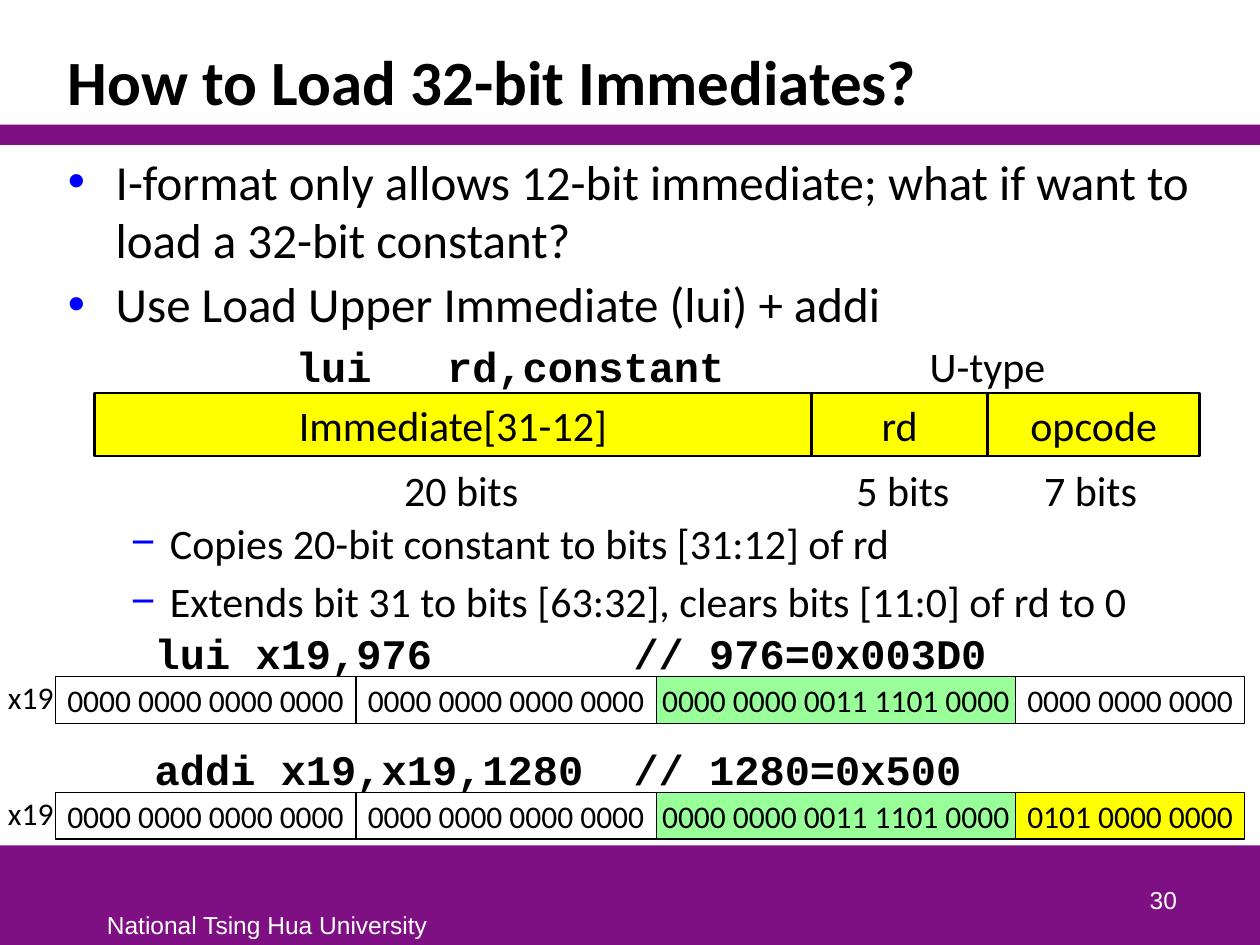
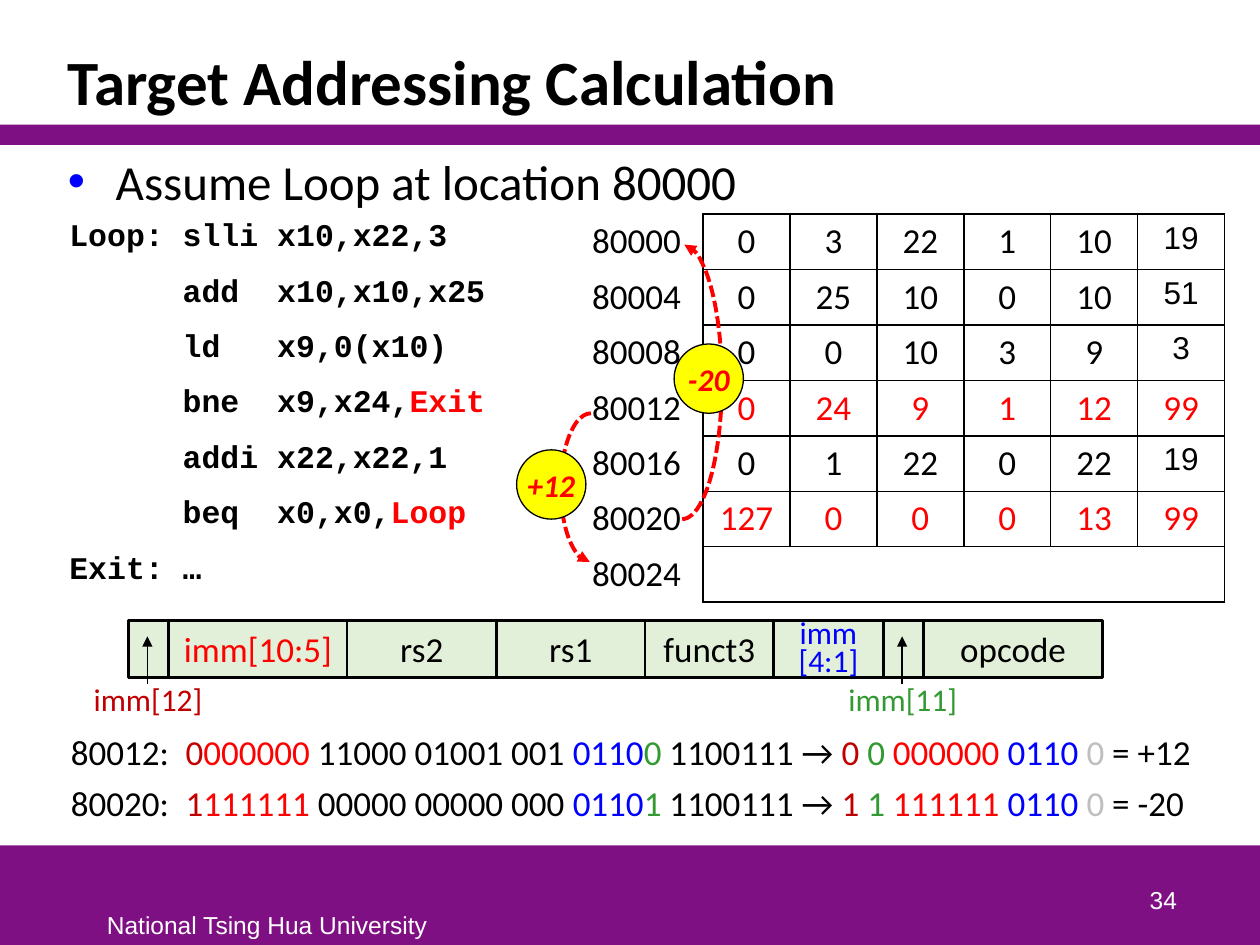
"""Build two slides on wide constants and branch targets in RISC-V."""
from dataclasses import dataclass, replace
from typing import NamedTuple

from lxml.etree import SubElement
from pptx import Presentation
from pptx.dml.color import RGBColor
from pptx.enum.dml import MSO_LINE
from pptx.enum.shapes import MSO_CONNECTOR, MSO_SHAPE
from pptx.enum.text import MSO_ANCHOR, PP_ALIGN
from pptx.oxml.ns import qn
from pptx.util import Inches, Pt

WIDE, HIGH = Inches(10), Inches(7.5)
UNIT = WIDE / 100
BLACK, WHITE, RED, BLUE = "000000", "FFFFFF", "FF0000", "0000FF"
PURPLE, YELLOW, MINT, PALE = "7F1084", "FFFF00", "99FF99", "E2F0D9"
BRICK, GREEN, GREY = "C00000", "339933", "BFBFBF"
LEFT, MID, RIGHT = PP_ALIGN.LEFT, PP_ALIGN.CENTER, PP_ALIGN.RIGHT


class Box(NamedTuple):
    left: float
    top: float
    wide: float
    high: float


class Run(NamedTuple):
    text: str
    tint: str = BLACK


class Field(NamedTuple):
    text: str
    wide: float
    fill: str | None = None
    tint: str = BLACK


@dataclass(frozen=True)
class Style:
    size: float
    face: str = "Calibri"
    tint: str = BLACK
    bold: bool = False
    slant: bool = False


@dataclass(frozen=True)
class Point:
    text: str
    size: float = 28
    mark: str = "•"
    left: float = 0.38
    hang: float = 0.38
    gap: float = 3


HEAD = Style(36, bold=True)
FOOT = Style(14, "Arial", WHITE)
LARGE, PLAIN, SMALL = Style(24), Style(20), Style(18)
CODE = Style(24, "Courier New", bold=True)
LIST = replace(CODE, size=18)
BADGE = Style(18, tint=RED, bold=True, slant=True)
DASH = Point("", 24, "−", 0.81, 0.31, 4.5)


def color(code: str) -> RGBColor:
    return RGBColor.from_string(code)


def place(box: Box) -> list[int]:
    return [round(side * UNIT) for side in box]


def set_font(para, style: Style) -> None:
    font = para.font
    font.name, font.size = style.face, Pt(style.size)
    font.bold, font.italic = style.bold, style.slant
    font.color.rgb = color(style.tint)


def set_tabs(para, stops) -> None:
    if stops:
        tabs = SubElement(para._p.get_or_add_pPr(), qn("a:tabLst"))
        for stop in stops:
            SubElement(tabs, qn("a:tab"), pos=str(Inches(stop)), algn="l")


def write(para, text, style: Style, align=LEFT, stops=()) -> None:
    para.alignment = align
    set_tabs(para, stops)
    set_font(para, style)
    if isinstance(text, str):
        para.text = text
        return
    for part in text:
        run = para.add_run()
        run.text = part.text
        run.font.color.rgb = color(part.tint)


def add_text(slide, box: Box, text, style: Style, align=LEFT, wrap=False,
             anchor=MSO_ANCHOR.TOP, stops=()):
    frame = slide.shapes.add_textbox(*place(box)).text_frame
    frame.word_wrap, frame.vertical_anchor = wrap, anchor
    write(frame.paragraphs[0], text, style, align, stops)
    return frame.paragraphs[0]


def add_form(slide, box: Box, fill=None, edge=0.0, kind=MSO_SHAPE.RECTANGLE,
             tint=BLACK):
    form = slide.shapes.add_shape(kind, *place(box))
    form.shadow.inherit = False
    if fill:
        form.fill.solid()
        form.fill.fore_color.rgb = color(fill)
    else:
        form.fill.background()
    if edge:
        form.line.width = Pt(edge)
        form.line.color.rgb = color(tint)
    else:
        form.line.fill.background()
    return form


def label(form, text: str, style: Style) -> None:
    frame = form.text_frame
    frame.margin_left = frame.margin_right = 0
    frame.margin_top = frame.margin_bottom = 0
    frame.word_wrap, frame.vertical_anchor = False, MSO_ANCHOR.MIDDLE
    write(frame.paragraphs[0], text, style, MID)


def add_tip(form) -> None:
    SubElement(form.line._get_or_add_ln(), qn("a:tailEnd"), type="triangle")


def add_strip(slide, left: float, top: float, high: float, fields,
              style: Style, edge: float) -> None:
    for field in fields:
        form = add_form(slide, Box(left, top, field.wide, high), field.fill, edge)
        if field.text:
            label(form, field.text, replace(style, tint=field.tint))
        left += field.wide


def add_points(slide, points) -> None:
    frame = slide.shapes.add_textbox(*place(Box(4.4, 11.5, 91.2, 55.3))).text_frame
    frame.word_wrap = True
    for i, point in enumerate(points):
        para = frame.add_paragraph() if i else frame.paragraphs[0]
        if i:
            para.space_before = Pt(point.gap)
        if not point.mark:
            write(para, point.text, CODE, stops=(1.81, 3.01))
            continue
        props = para._p.get_or_add_pPr()
        props.set("marL", str(Inches(point.left)))
        props.set("indent", str(-Inches(point.hang)))
        SubElement(SubElement(props, qn("a:buClr")), qn("a:srgbClr"), val=BLUE)
        SubElement(props, qn("a:buFont"), typeface="Arial")
        SubElement(props, qn("a:buChar"), char=point.mark)
        write(para, point.text, Style(point.size))


def start(deck, title: str, page: int, points):
    slide = deck.slides.add_slide(deck.slide_layouts[6])
    for band in (Box(0, 67.1, 100, 7.9), Box(0, 9.9, 100, 1.6)):
        add_form(slide, band, PURPLE)
    add_text(slide, Box(7.5, 71.7, 27.6, 3.3), "National Tsing Hua University", FOOT)
    head = add_text(slide, Box(4.4, 2.5, 91.2, 7.4), title, HEAD, wrap=True,
                    anchor=MSO_ANCHOR.BOTTOM)
    head.line_spacing = 0.85
    add_points(slide, points)
    add_text(slide, Box(73.6, 68.1, 20.8, 5), str(page), FOOT, RIGHT, True,
             MSO_ANCHOR.BOTTOM)
    return slide


def load_slide(deck) -> None:
    slide = start(deck, "How to Load 32-bit Immediates?", 30, [
        Point("I-format only allows 12-bit immediate; what if want to "
              "load a 32-bit constant?"),
        Point("Use Load Upper Immediate (lui) + addi"),
        Point("\tlui\trd,constant", mark="", gap=4.5),
        replace(DASH, text="Copies 20-bit constant to bits [31:12] of rd", gap=72),
        replace(DASH, text="Extends bit 31 to bits [63:32], clears bits [11:0] "
                           "of rd to 0")])
    zeros = Field("0000 0000 0000 0000", 23.85)
    upper = Field("0000 0000 0011 1101 0000", 28.5, MINT)
    steps = [(49.3, "lui x19,976\t// 976=0x003D0", Field("0000 0000 0000", 18.2)),
             (58.5, "addi x19,x19,1280\t// 1280=0x500",
              Field("0101 0000 0000", 18.2, YELLOW))]
    for top, code, lower in steps:
        add_text(slide, Box(11.3, top, 75, 5), code, CODE, wrap=True, stops=(3.8,))
        add_strip(slide, 4.4, top + 4.4, 3.7, [zeros, zeros, upper, lower],
                  SMALL, 0.75)
        add_text(slide, Box(-0.35, top + 4.05, 5.7, 4), "x19", SMALL)
    add_strip(slide, 7.5, 31.2, 5,
              [Field("Immediate[31-12]", 56.9, YELLOW), Field("rd", 14, YELLOW),
               Field("opcode", 16.8, YELLOW)], LARGE, 1.5)
    for text, left, wide in (("20 bits", 31, 11.2), ("5 bits", 66.9, 9.5),
                             ("7 bits", 81.8, 9.5)):
        add_text(slide, Box(left, 36.4, wide, 5), text, LARGE, MID)
    add_text(slide, Box(72.8, 26.5, 11.3, 5), "U-type", LARGE)


def set_cell(cell, sides: str, text="", style=SMALL, align=LEFT, stops=()) -> None:
    cell.fill.background()
    props = cell._tc.get_or_add_tcPr()
    for i, (side, tint) in enumerate(zip("LRTB", sides)):
        line = SubElement(props, qn(f"a:ln{side}"), w=str(Pt(1)))
        fill = SubElement(line, qn("a:solidFill"))
        SubElement(fill, qn("a:srgbClr"), val=BLACK if tint == "k" else WHITE)
        props.insert(i, line)
    write(cell.text_frame.paragraphs[0], text, style, align, stops)


def add_code(slide) -> None:
    rows = [("Loop: slli x10,x22,3", "", "0 3 22 1 10 19"),
            ("      add\tx10,x10,x25", "", "0 25 10 0 10 51"),
            ("      ld\tx9,0(x10)", "", "0 0 10 3 9 3"),
            ("      bne\tx9,x24,", "Exit", "0 24 9 1 12 99"),
            ("      addi x22,x22,1", "", "0 1 22 0 22 19"),
            ("      beq\tx0,x0,", "Loop", "127 0 0 0 13 99"),
            ("Exit: …", "", "")]
    table = slide.shapes.add_table(len(rows), 8, *place(Box(4.5, 17, 92.7, 30.8))).table
    table.first_row = table.horz_banding = False
    for col, wide in zip(table.columns, [41.5, 9.8] + [6.9] * 6):
        col.width = round(wide * UNIT)
    for i, (code, goal, words) in enumerate(rows):
        table.rows[i].height = round(4.4 * UNIT)
        parts = [Run(code)] + ([Run(goal, RED)] if goal else [])
        set_cell(table.cell(i, 0), "wwww", parts, LIST, stops=(1.65,))
        set_cell(table.cell(i, 1), "wkww", str(80000 + 4 * i), PLAIN)
        for j, word in enumerate(words.split() or [""] * 6, 2):
            style = replace(PLAIN, tint=RED) if goal else PLAIN
            if j == 7 and not goal:
                style = Style(18, "Arial")
            set_cell(table.cell(i, j), "kkkk", word, style, MID)
    table.cell(6, 2).merge(table.cell(6, 7))


def add_jump(slide, bend: Box, flip: str, disc: tuple[float, float], text: str) -> None:
    arc = add_form(slide, bend, edge=2.25, kind=MSO_SHAPE.ARC, tint=RED)
    arc.adjustments[0], arc.adjustments[1] = 162, 53.48
    arc.element.spPr.find(qn("a:xfrm")).set(flip, "1")
    arc.line.dash_style = MSO_LINE.SQUARE_DOT
    add_tip(arc)
    label(add_form(slide, Box(*disc, 5.5, 5.5), YELLOW, 0.75, MSO_SHAPE.OVAL),
          text, BADGE)


def add_note(slide, left: float, text: str, tint: str) -> None:
    note = add_text(slide, Box(left, 54.3, 10.7, 3.4), text, replace(SMALL, tint=tint), MID)
    note.line_spacing = Pt(16)
    stem = left + 5.3
    ends = [round(side * UNIT) for side in (stem, 54.3, stem, 50.5)]
    arrow = slide.shapes.add_connector(MSO_CONNECTOR.STRAIGHT, *ends)
    arrow.line.width = Pt(0.75)
    arrow.line.color.rgb = color(BLACK)
    add_tip(arrow)
    SubElement(arrow.element.spPr, qn("a:effectLst"))


def add_sum(slide, top: float, spot: str, bit: str, regs: str, total: str) -> None:
    parts = [Run(f"{spot}:\t"), Run(bit, BRICK), Run(bit * 6, RED), Run(f" {regs} "),
             Run("0110", BLUE), Run(bit, GREEN), Run(" 1100111 → "),
             Run(f"{bit} ", BRICK), Run(f"{bit} ", GREEN), Run(f"{bit * 6} ", RED),
             Run("0110 ", BLUE), Run("0", GREY), Run(f" = {total}")]
    add_text(slide, Box(4.65, top, 94, 4.4), parts, PLAIN, wrap=True, stops=(0.91,))


def branch_slide(deck) -> None:
    slide = start(deck, "Target Addressing Calculation", 34,
                  [Point("Assume Loop at location 80000")])
    add_code(slide)
    fields = [("", 3.2), ("imm[10:5]", 14.15, RED), ("rs2", 11.85), ("rs1", 11.8),
              ("funct3", 10.2), ("", 8.7), ("", 3.2), ("opcode", 14.2)]
    add_strip(slide, 10.2, 49.25, 4.5,
              [Field(text, wide, PALE, *tint) for text, wide, *tint in fields],
              PLAIN, 1.5)
    low = add_text(slide, Box(61.4, 48.9, 8.7, 5.5), "imm\v[4:1]",
                   replace(SMALL, tint=BLUE), MID, wrap=True)
    low.line_spacing = Pt(16)
    add_note(slide, 6.4, "imm[12]", BRICK)
    add_note(slide, 66.3, "imm[11]", GREEN)
    add_sum(slide, 57.5, "80012", "0", "11000 01001 001", "+12")
    add_sum(slide, 61.5, "80020", "1", "00000 00000 000", "-20")
    add_jump(slide, Box(44.5, 32.8, 4.8, 11.8), "flipH", (41, 35.7), "+12")
    add_jump(slide, Box(51, 19.4, 6.3, 21.8), "flipV", (53.5, 27.3), "-20")


def main() -> None:
    deck = Presentation()
    deck.slide_width, deck.slide_height = WIDE, HIGH
    load_slide(deck)
    branch_slide(deck)
    deck.save("out.pptx")


if __name__ == "__main__":
    main()
